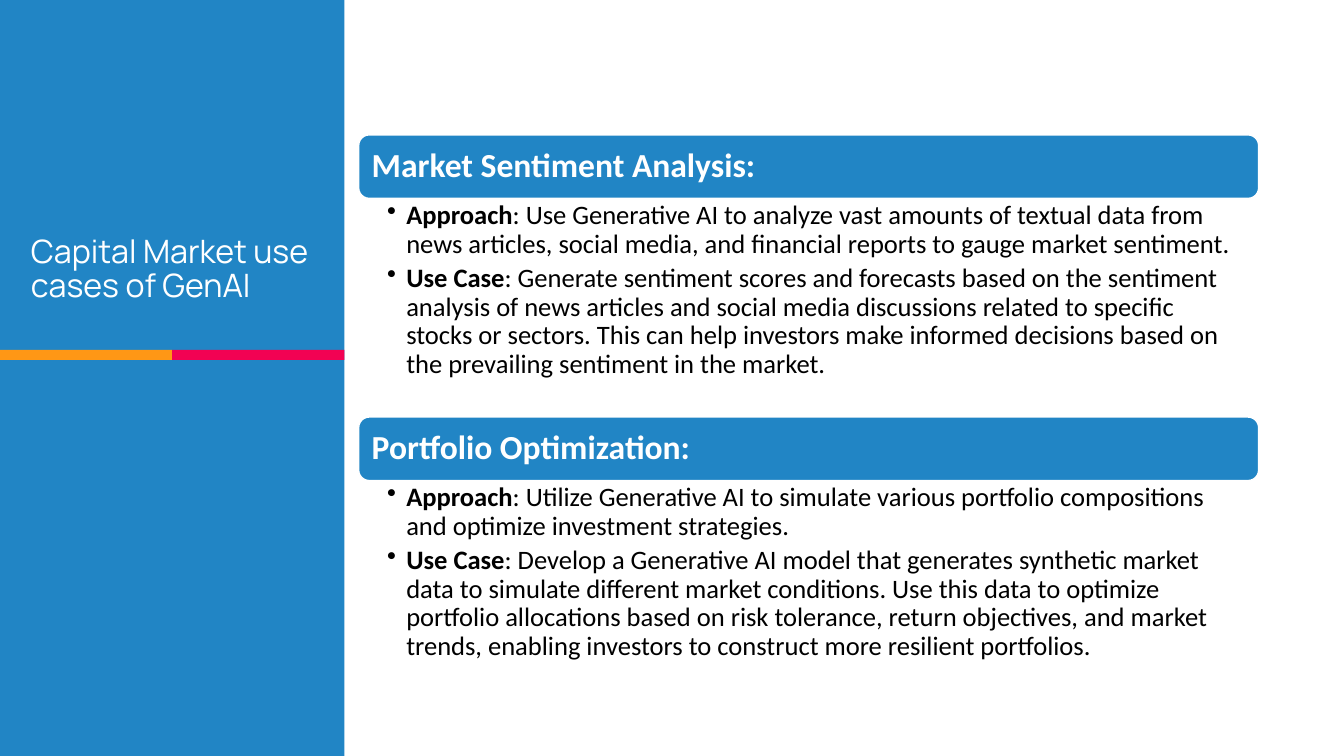
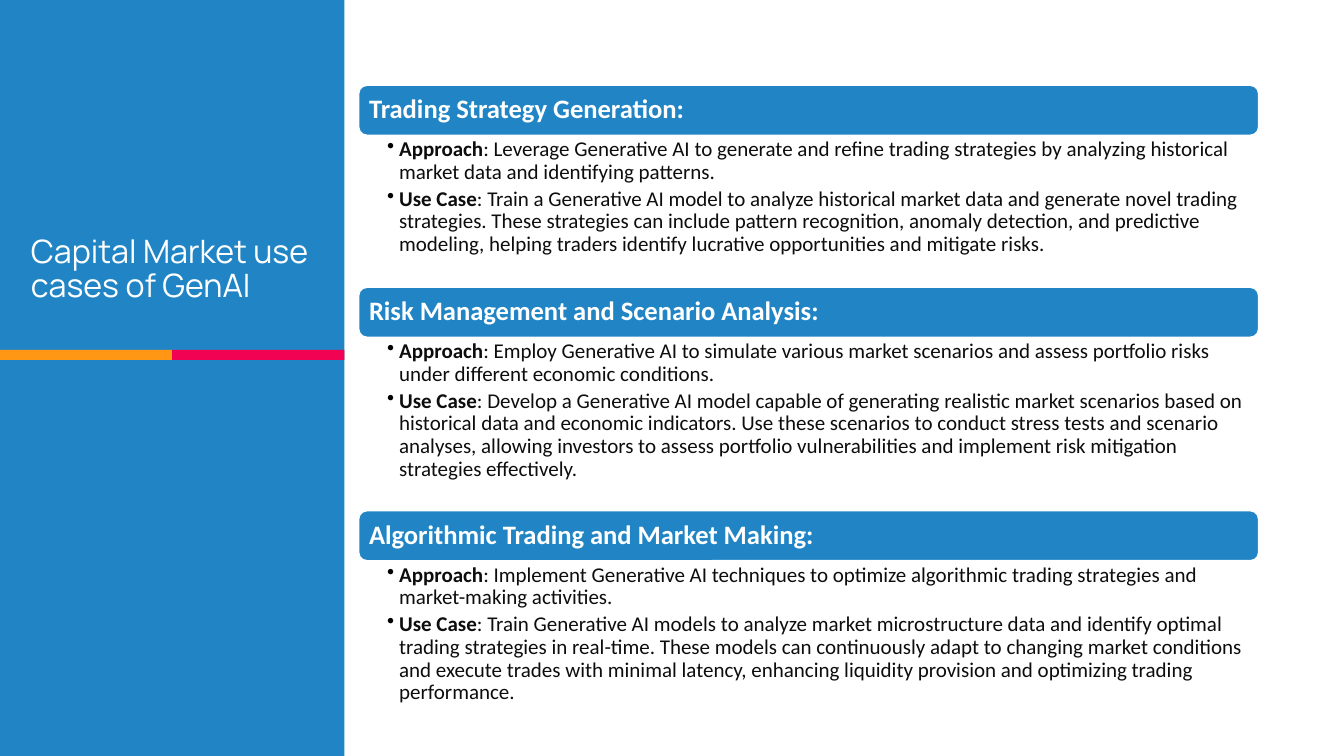
from lxml.etree import SubElement
from pptx import Presentation
from pptx.dml.color import RGBColor
from pptx.enum.shapes import MSO_SHAPE
from pptx.enum.text import MSO_ANCHOR, PP_ALIGN
from pptx.oxml.ns import qn
from pptx.util import Cm, Pt

BLUE = RGBColor(0x21, 0x85, 0xC5)
ORANGE = RGBColor(0xFF, 0x97, 0x15)
RED = RGBColor(0xF2, 0x02, 0x53)
WHITE = RGBColor(0xFF, 0xFF, 0xFF)
BLACK = RGBColor(0x00, 0x00, 0x00)
NEAR_BLACK = RGBColor(0x0D, 0x0D, 0x0D)

TITLE_FONT = "Manrope"
BODY_FONT = "Calibri"
SLIDE_WIDTH, SLIDE_HEIGHT = 33.87, 19.05
PANEL_WIDTH = 8.68
STRIPE_TOP, STRIPE_HEIGHT = 8.82, 0.25
STRIPE_COLORS = (ORANGE, RED)
SECTION_LEFT, SECTION_WIDTH = 9.04, 22.68
LINE_SPACING = 0.9
BULLET_LABELS = ("Approach", "Use Case")

SLIDES = [
    {
        "title": "Capital Market use cases of GenAI",
        "top": 3.4,
        "bar_height": 1.6,
        "bar_inset": 0.25,
        "heading_size": 24,
        "body_size": 19,
        "body_color": BLACK,
        "right_inset": 0.48,
        "indent": 0.48,
        "sections": [
            ("Market Sentiment Analysis:", 5.51, (
                "Use Generative AI to analyze vast amounts of textual data from news articles, "
                "social media, and financial reports to gauge market sentiment.",
                "Generate sentiment scores and forecasts based on the sentiment analysis of news "
                "articles and social media discussions related to specific stocks or sectors. "
                "This can help investors make informed decisions based on the prevailing "
                "sentiment in the market.",
            )),
            ("Portfolio Optimization:", 4.83, (
                "Utilize Generative AI to simulate various portfolio compositions and optimize "
                "investment strategies.",
                "Develop a Generative AI model that generates synthetic market data to simulate "
                "different market conditions. Use this data to optimize portfolio allocations "
                "based on risk tolerance, return objectives, and market trends, enabling "
                "investors to construct more resilient portfolios.",
            )),
        ],
    },
    {
        "title": "Capital Market use cases of GenAI",
        "top": 2.15,
        "bar_height": 1.26,
        "bar_inset": 0.2,
        "heading_size": 19,
        "body_size": 15,
        "body_color": NEAR_BLACK,
        "right_inset": 0.38,
        "indent": 0.3,
        "sections": [
            ("Trading Strategy Generation:", 3.83, (
                "Leverage Generative AI to generate and refine trading strategies by analyzing "
                "historical market data and identifying patterns.",
                "Train a Generative AI model to analyze historical market data and generate "
                "novel trading strategies. These strategies can include pattern recognition, "
                "anomaly detection, and predictive modeling, helping traders identify lucrative "
                "opportunities and mitigate risks.",
            )),
            ("Risk Management and Scenario Analysis:", 4.37, (
                "Employ Generative AI to simulate various market scenarios and assess portfolio "
                "risks under different economic conditions.",
                "Develop a Generative AI model capable of generating realistic market scenarios "
                "based on historical data and economic indicators. Use these scenarios to conduct "
                "stress tests and scenario analyses, allowing investors to assess portfolio "
                "vulnerabilities and implement risk mitigation strategies effectively.",
            )),
            ("Algorithmic Trading and Market Making:", 3.83, (
                "Implement Generative AI techniques to optimize algorithmic trading strategies "
                "and market-making activities.",
                "Train Generative AI models to analyze market microstructure data and identify "
                "optimal trading strategies in real-time. These models can continuously adapt to "
                "changing market conditions and execute trades with minimal latency, enhancing "
                "liquidity provision and optimizing trading performance.",
            )),
        ],
    },
]


def add_block(slide, kind, left, top, width, height, color):
    shape = slide.shapes.add_shape(kind, Cm(left), Cm(top), Cm(width), Cm(height))
    shape.shadow.inherit = False
    shape.fill.solid()
    shape.fill.fore_color.rgb = color
    shape.line.fill.background()
    return shape


def add_text_box(slide, left, top, width, height):
    frame = slide.shapes.add_textbox(Cm(left), Cm(top), Cm(width), Cm(height)).text_frame
    frame.word_wrap = True
    return frame


def set_insets(frame, left, top, right, bottom):
    frame.margin_left, frame.margin_top = Cm(left), Cm(top)
    frame.margin_right, frame.margin_bottom = Cm(right), Cm(bottom)


def add_run(paragraph, text, font_name, size, color, bold=False):
    run = paragraph.add_run()
    run.text = text
    run.font.name = font_name
    run.font.size = Pt(size)
    run.font.color.rgb = color
    run.font.bold = bold


def add_bullet(paragraph, indent):
    properties = paragraph._p.get_or_add_pPr()
    properties.set("marL", str(Cm(indent)))
    properties.set("indent", str(-Cm(indent)))
    color = SubElement(properties, qn("a:buClr"))
    SubElement(color, qn("a:srgbClr")).set("val", str(BLACK))
    SubElement(properties, qn("a:buChar")).set("char", "•")


def add_side_panel(slide, title):
    add_block(slide, MSO_SHAPE.RECTANGLE, 0, 0, PANEL_WIDTH, SLIDE_HEIGHT, BLUE)
    stripe_width = PANEL_WIDTH / len(STRIPE_COLORS)
    for index, color in enumerate(STRIPE_COLORS):
        add_block(slide, MSO_SHAPE.RECTANGLE, index * stripe_width, STRIPE_TOP,
                  stripe_width, STRIPE_HEIGHT, color)
    frame = add_text_box(slide, 0.53, 5.66, 7.62, 2.29)
    frame.vertical_anchor = MSO_ANCHOR.MIDDLE
    paragraph = frame.paragraphs[0]
    paragraph.line_spacing = LINE_SPACING
    add_run(paragraph, title, TITLE_FONT, 23, WHITE)


def add_heading_bar(slide, heading, top, content):
    bar = add_block(slide, MSO_SHAPE.ROUNDED_RECTANGLE, SECTION_LEFT, top,
                    SECTION_WIDTH, content["bar_height"], BLUE)
    bar.line.color.rgb = WHITE
    bar.line.width = Pt(1)
    frame = bar.text_frame
    frame.word_wrap = True
    frame.vertical_anchor = MSO_ANCHOR.MIDDLE
    set_insets(frame, *[content["bar_inset"]] * 4)
    paragraph = frame.paragraphs[0]
    paragraph.alignment = PP_ALIGN.LEFT
    paragraph.line_spacing = LINE_SPACING
    add_run(paragraph, heading, BODY_FONT, content["heading_size"], WHITE, True)


def add_section_body(slide, texts, top, height, content):
    frame = add_text_box(slide, SECTION_LEFT, top, SECTION_WIDTH, height)
    set_insets(frame, 0.72, 0.08, content["right_inset"], 0.08)
    size, color = content["body_size"], content["body_color"]
    for index, (label, text) in enumerate(zip(BULLET_LABELS, texts)):
        paragraph = frame.add_paragraph() if index else frame.paragraphs[0]
        add_bullet(paragraph, content["indent"])
        paragraph.line_spacing = LINE_SPACING
        paragraph.space_after = Pt(size * 0.2)
        add_run(paragraph, label, BODY_FONT, size, color, True)
        add_run(paragraph, f": {text}", BODY_FONT, size, color)


def build_slide(presentation, content):
    slide = presentation.slides.add_slide(presentation.slide_layouts[6])
    add_side_panel(slide, content["title"])
    top = content["top"]
    for heading, body_height, texts in content["sections"]:
        add_heading_bar(slide, heading, top, content)
        top += content["bar_height"]
        add_section_body(slide, texts, top, body_height, content)
        top += body_height


def main():
    presentation = Presentation()
    presentation.slide_width = Cm(SLIDE_WIDTH)
    presentation.slide_height = Cm(SLIDE_HEIGHT)
    for content in SLIDES:
        build_slide(presentation, content)
    presentation.save("out.pptx")


if __name__ == "__main__":
    main()
